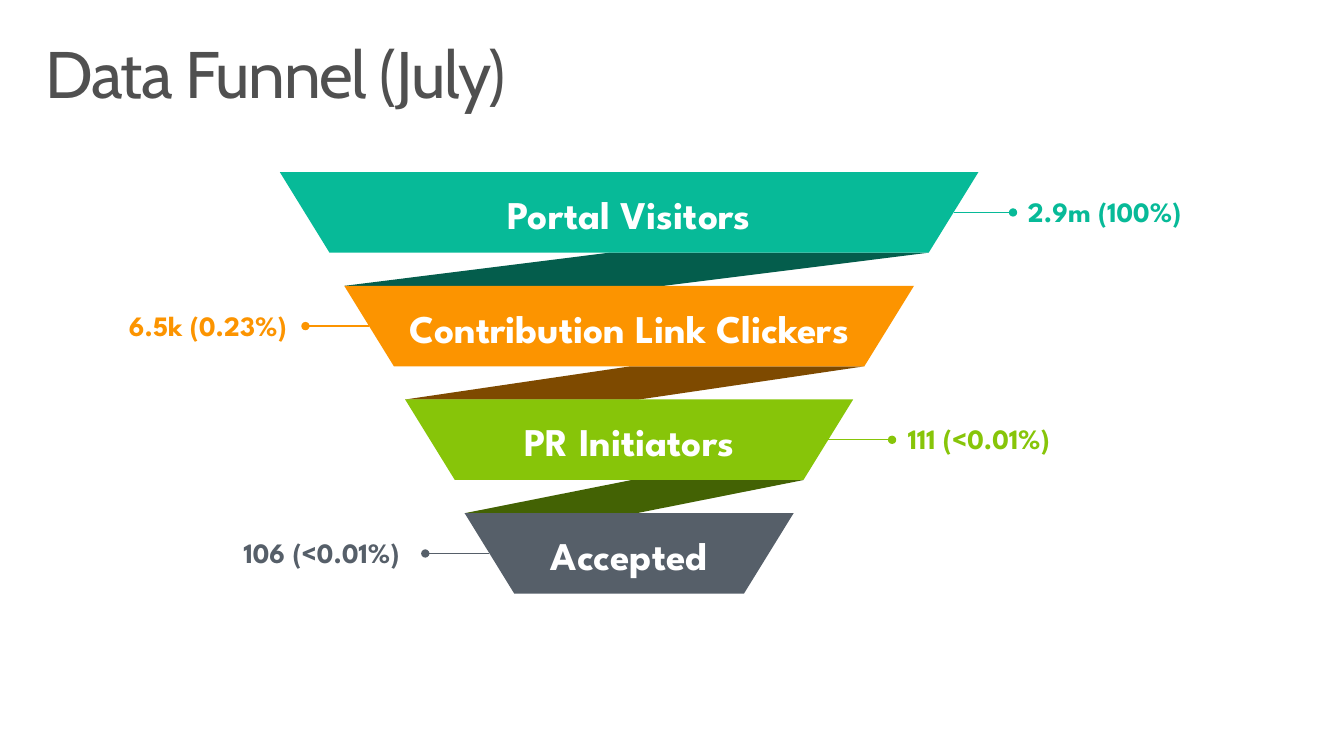
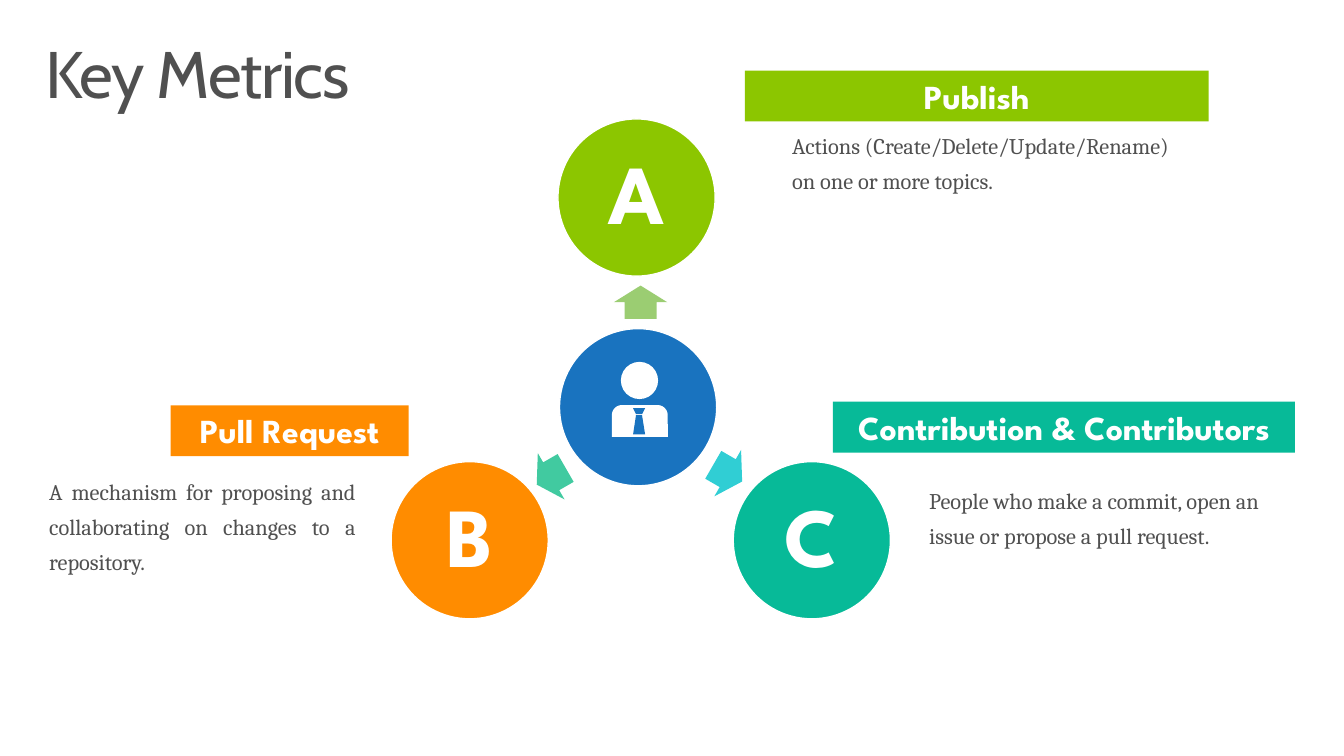
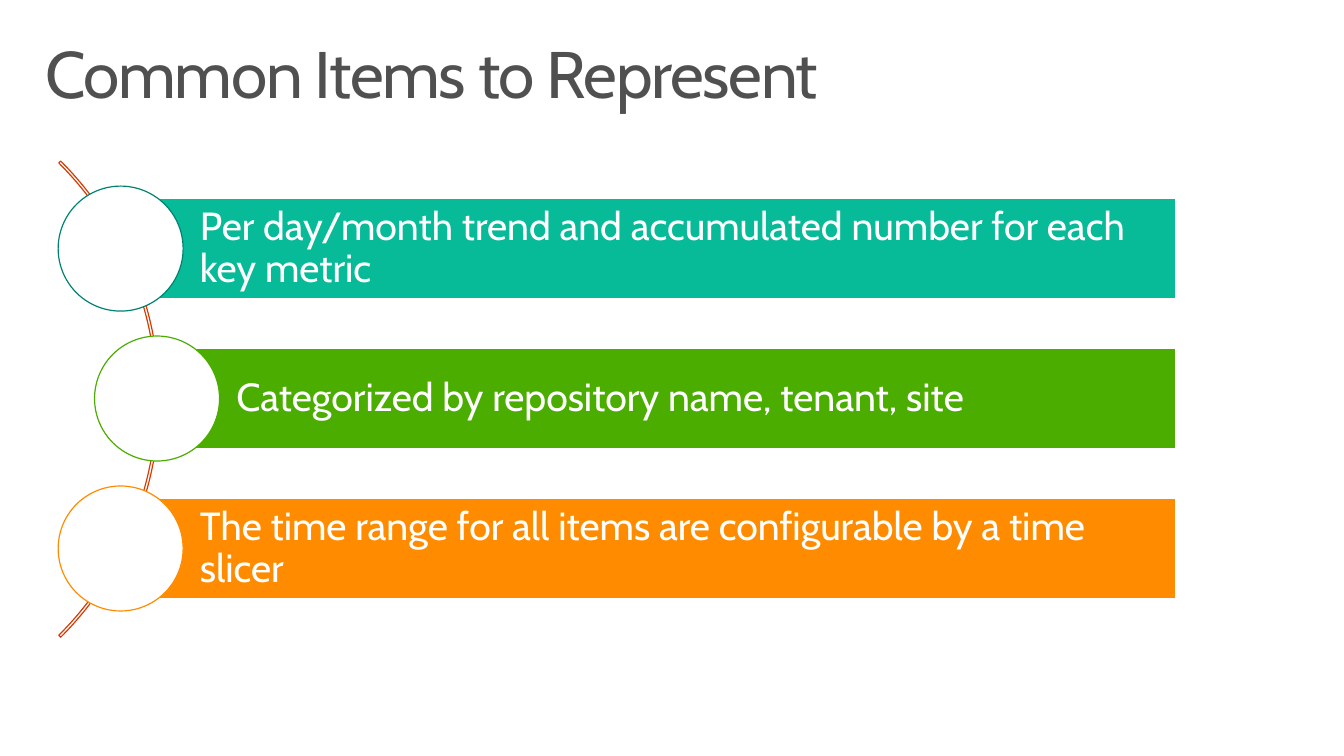
from dataclasses import dataclass

from lxml.etree import SubElement
from pptx import Presentation
from pptx.dml.color import RGBColor
from pptx.enum.shapes import MSO_CONNECTOR as Connector, MSO_SHAPE as Preset
from pptx.enum.text import MSO_ANCHOR as Anchor, MSO_AUTO_SIZE as AutoSize, PP_ALIGN as Align
from pptx.oxml.ns import qn
from pptx.util import Pt


@dataclass(frozen=True)
class Theme:
    title_font: str = "Cabin"
    label_font: str = "League Spartan"
    body_font: str = "Cambria"
    white: str = "FFFFFF"
    text: str = "505050"
    teal: str = "07BA98"
    orange: str = "FF8C00"
    lime: str = "8CC600"
    green: str = "4AAD00"
    blue: str = "1973BF"
    amber: str = "FC9400"
    leaf: str = "87C509"
    slate: str = "565F69"
    dark_teal: str = "045D4C"
    brown: str = "7E4A00"
    olive: str = "436204"
    mint: str = "41CAA0"
    cyan: str = "30CED4"
    pale_green: str = "9BCD72"
    rust: str = "D83B01"
    deep_teal: str = "008272"
    title_size: int = 47
    letter_size: int = 60
    stage_size: int = 28
    banner_size: int = 24
    value_size: int = 20
    body_size: int = 16


THEME = Theme()


def points(*lengths):
    return [Pt(length) for length in lengths]


def rgb(code):
    return RGBColor.from_string(code)


def style(shape, fill=None, line=None, width=1):
    shape.shadow.inherit = False
    if fill:
        shape.fill.solid()
        shape.fill.fore_color.rgb = rgb(fill)
    else:
        shape.fill.background()
    if line:
        shape.line.color.rgb = rgb(line)
        shape.line.width = Pt(width)
    else:
        shape.line.fill.background()
    return shape


def add_preset(slide, preset, box, fill=None, line=None, width=1, adjust=()):
    shape = slide.shapes.add_shape(preset, *points(*box))
    for index, value in enumerate(adjust):
        shape.adjustments[index] = value
    return style(shape, fill, line, width)


def add_disc(slide, center, diameter, **look):
    x, y = center
    radius = diameter / 2
    return add_preset(slide, Preset.OVAL, (x - radius, y - radius, diameter, diameter), **look)


def write(shape, text, font, size, color, bold=False, align=Align.LEFT, anchor=Anchor.TOP,
          insets=(7.2, 3.6, 7.2, 3.6), spacing=None, before=None, wrap=True, grow=False):
    frame = shape.text_frame
    frame.text = text
    frame.word_wrap = wrap
    frame.auto_size = AutoSize.SHAPE_TO_FIT_TEXT if grow else AutoSize.NONE
    frame.vertical_anchor = anchor
    frame.margin_left, frame.margin_top, frame.margin_right, frame.margin_bottom = points(*insets)
    paragraph = frame.paragraphs[0]
    paragraph.alignment = align
    if spacing:
        paragraph.line_spacing = spacing
    if before:
        paragraph.space_before = Pt(before)
    run = paragraph.runs[0]
    run.font.name, run.font.size, run.font.bold = font, Pt(size), bold
    run.font.color.rgb = rgb(color)
    return run


def add_text(slide, box, text, font, size, color, **layout):
    return write(slide.shapes.add_textbox(*points(*box)), text, font, size, color, **layout)


def add_titled_slide(deck, title):
    slide = deck.slides.add_slide(deck.slide_layouts[6])
    run = add_text(slide, (20.9, 22.5, 917.3, 70.6), title, THEME.title_font, THEME.title_size,
                   THEME.text, insets=(11.5, 7.2, 11.5, 7.2), spacing=0.9)
    run._r.get_or_add_rPr().set("spc", "-100")
    return slide


def add_leader(slide, start_x, end_x, y, color):
    leader = slide.shapes.add_connector(Connector.STRAIGHT, *points(start_x, y, end_x, y))
    leader.line.color.rgb = rgb(color)
    leader.line.width = Pt(1)
    SubElement(leader.line._get_or_add_ln(), qn("a:tailEnd"), type="oval")
    SubElement(leader._element.spPr, qn("a:effectLst"))


def build_funnel(deck):
    slide = add_titled_slide(deck, "Data Funnel (July)")
    center, top, height, pitch, slope = 449.4, 123, 57.5, 81.2, 0.617
    inset = slope * height
    stages = [
        ("Portal Visitors", 499, 379, THEME.teal, "2.9m (100%)", 723.6, 727.2, 134.6),
        ("Contribution Link Clickers", 407, 379, THEME.amber, "6.5k (0.23%)", 218.2, 85, 133.2),
        ("PR Initiators", 320, 269, THEME.leaf, "111 (<0.01%)", 637.2, 641.5, 139),
        ("Accepted", 235, 174, THEME.slate, "106 (<0.01%)", 303.8, 167, 139),
    ]
    folds = [(THEME.dark_teal, 7.99), (THEME.brown, 6.79), (THEME.olive, 5.03)]
    widths = [stage[1] for stage in stages]

    for row, (color, skew) in enumerate(folds):
        left = center - widths[row + 1] / 2
        right = center + widths[row] / 2 - inset
        fold_top = top + row * pitch + height
        add_preset(slide, Preset.PARALLELOGRAM, (left, fold_top, right - left, pitch - height),
                   color, adjust=[skew])

    for row, (name, width, name_width, color, value, dot_x, value_x, value_width) in enumerate(stages):
        y = top + row * pitch
        middle = y + height / 2
        side = 1 if dot_x > center else -1
        add_leader(slide, center + side * (width - inset) / 2, dot_x, middle, color)
        band = add_preset(slide, Preset.TRAPEZOID, (center - width / 2, y, width, height),
                          color, adjust=[slope])
        band._element.spPr.xfrm.set("flipV", "1")
        add_text(slide, (center - name_width / 2, y + 9.4, name_width, 41), name, THEME.label_font,
                 THEME.stage_size, THEME.white, bold=True, align=Align.CENTER, grow=True)
        add_text(slide, (value_x, middle - 16.3, value_width, 31.7), value, THEME.label_font,
                 THEME.value_size, color, bold=True, wrap=False, grow=True)


def add_person(slide):
    add_disc(slide, (456.8, 271.8), 26.6, fill=THEME.white)
    add_preset(slide, Preset.ROUND_2_SAME_RECTANGLE, (437, 289.3, 40, 22.7), THEME.white,
               adjust=[0.32, 0])
    knot = [(452.2, 291.6), (460.8, 291.6), (458.6, 295.9), (454.3, 295.9)]
    blade = [(454.3, 296.6), (458.6, 296.6), (460.8, 310.3), (452.2, 310.3)]
    for outline in (knot, blade):
        corners = [points(*corner) for corner in outline]
        builder = slide.shapes.build_freeform(*corners[0])
        builder.add_line_segments(corners[1:])
        style(builder.convert_to_shape(), THEME.blue)


def build_metrics(deck):
    slide = add_titled_slide(deck, "Key Metrics")
    diameter, arrow_length, arrow_width = 112.3, 23.8, 38.2
    add_disc(slide, (455.8, 290.9), diameter, fill=THEME.blue, line=THEME.white)
    add_person(slide)

    arrows = [
        ((457.6, 215.9), 270, THEME.pale_green),
        ((393.7, 340.2), 150, THEME.mint),
        ((519.8, 338), 30, THEME.cyan),
    ]
    for (x, y), angle, color in arrows:
        box = (x - arrow_length / 2, y - arrow_width / 2, arrow_length, arrow_width)
        arrow = add_preset(slide, Preset.RIGHT_ARROW, box, color, adjust=[0.6, 0.5])
        arrow.rotation = angle

    metrics = [
        ("A", (454.7, 141.1), THEME.lime, "Publish", (532.1, 50.4, 331.2, 36.4),
         "Actions (Create/Delete/Update/Rename) on one or more topics.",
         (558.7, 85, 291.6, 57.6), Align.LEFT),
        ("B", (335.5, 385.9), THEME.orange, "Pull Request", (121.9, 289.5, 170, 36.4),
         "A mechanism for proposing and collaborating on changes to a repository.",
         (28.1, 332.3, 233.3, 82.8), Align.JUSTIFY),
        ("C", (579.9, 385.9), THEME.teal, "Contribution & Contributors", (595, 286.9, 330, 36.4),
         "People who make a commit, open an issue or propose a pull request.",
         (656.6, 338.4, 257, 57.6), Align.LEFT),
    ]
    for letter, center, color, heading, heading_box, detail, detail_box, align in metrics:
        disc = add_disc(slide, center, diameter, fill=color, line=THEME.white)
        write(disc, letter, THEME.label_font, THEME.letter_size, THEME.white, bold=True,
              align=Align.CENTER, anchor=Anchor.MIDDLE, insets=[19.4] * 4, spacing=0.9)
        banner = add_preset(slide, Preset.RECTANGLE, heading_box, color)
        write(banner, heading, THEME.label_font, THEME.banner_size, THEME.white, bold=True,
              align=Align.CENTER, grow=True)
        add_text(slide, detail_box, detail, THEME.body_font, THEME.body_size, THEME.text,
                 align=align, spacing=1.3, before=6, grow=True)


def build_items(deck):
    slide = add_titled_slide(deck, "Common Items to Represent")
    top, height, pitch, right, diameter, outline = 142, 71.2, 107.1, 839.5, 89.3, 0.85
    add_preset(slide, Preset.BLOCK_ARC, (-367.2, 44.6, 481, 481), line=THEME.rust, width=outline,
               adjust=[189, 27, 0.004])
    items = [
        ("Per day/month trend and accumulated number for each key metric",
         86.2, THEME.teal, THEME.deep_teal),
        ("Categorized by repository name, tenant, site", 112.2, THEME.green, THEME.green),
        ("The time range for all items are configurable by a time slicer",
         86.2, THEME.orange, THEME.orange),
    ]
    for row, (text, left, color, ring) in enumerate(items):
        y = top + row * pitch
        bar = add_preset(slide, Preset.RECTANGLE, (left, y, right - left, height), color,
                         THEME.white, outline)
        write(bar, text, THEME.title_font, THEME.stage_size, THEME.white, anchor=Anchor.MIDDLE,
              insets=(56.6, 5.8, 5.8, 5.8), spacing=0.9)
        add_disc(slide, (left, y + height / 2), diameter, fill=THEME.white, line=ring, width=outline)


def main():
    deck = Presentation()
    deck.slide_width, deck.slide_height = points(960, 540)
    build_funnel(deck)
    build_metrics(deck)
    build_items(deck)
    deck.save("out.pptx")


if __name__ == "__main__":
    main()
